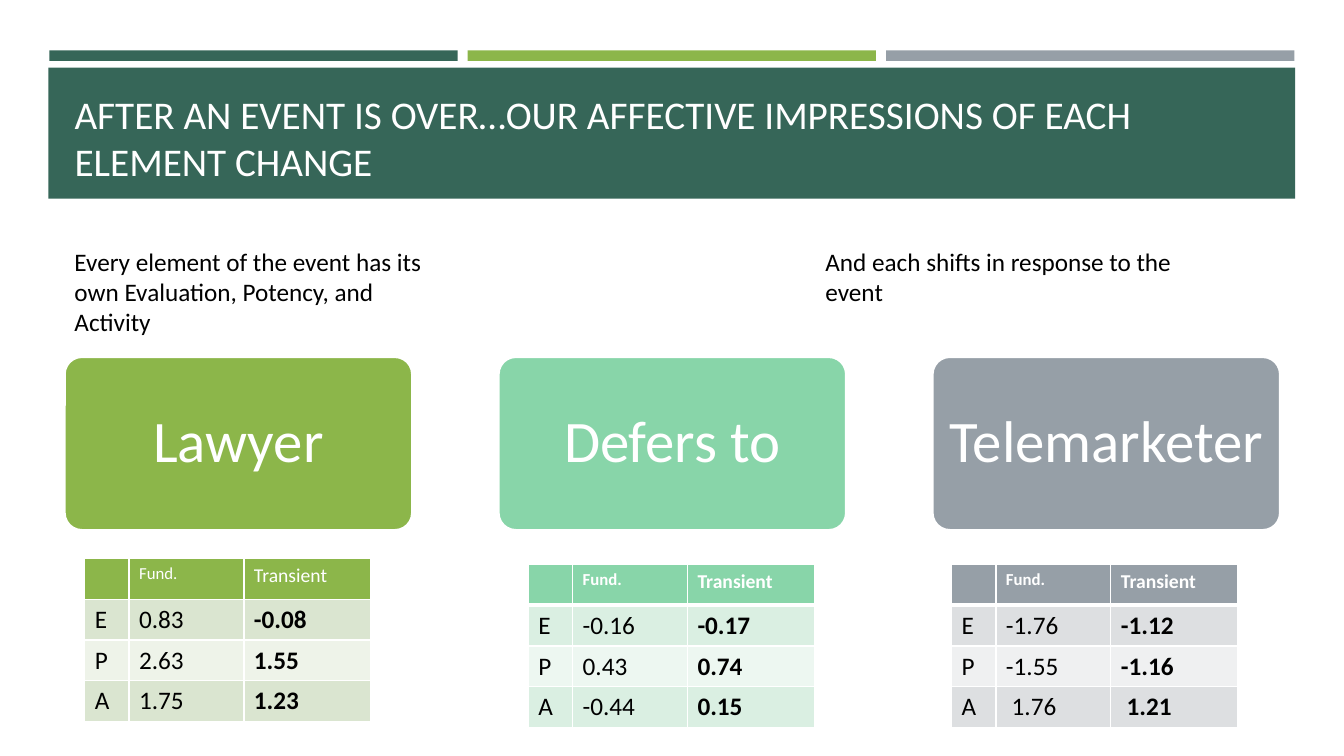
import pptx
import pptx.dml.color
import pptx.enum.shapes
import pptx.enum.text
import pptx.oxml
import pptx.oxml.ns
import pptx.util

RGB = pptx.dml.color.RGBColor
WHITE = RGB(0xFF, 0xFF, 0xFF)
BLACK = RGB(0x00, 0x00, 0x00)
PINE = RGB(0x36, 0x66, 0x58)
GREEN = RGB(0x8C, 0xB6, 0x4A)
GREEN_BAND = RGB(0xDA, 0xE5, 0xD0)
GREEN_PALE = RGB(0xEE, 0xF3, 0xE9)
MINT = RGB(0x88, 0xD5, 0xA9)
MINT_BAND = RGB(0xDA, 0xEF, 0xE2)
MINT_PALE = RGB(0xED, 0xF7, 0xF1)
GREY = RGB(0x96, 0x9F, 0xA7)
GREY_BAND = RGB(0xDD, 0xDF, 0xE1)
GREY_PALE = RGB(0xEF, 0xF0, 0xF1)

FONT = "Calibri"
SLIDE_WIDTH = pptx.util.Inches(13.333)
SLIDE_HEIGHT = pptx.util.Inches(7.5)
COLUMN = SLIDE_WIDTH / 133.33
ROW = SLIDE_HEIGHT / 75
SHAPES = pptx.enum.shapes.MSO_SHAPE
ANCHOR = pptx.enum.text.MSO_ANCHOR
ALIGN = pptx.enum.text.PP_ALIGN

STRIPES = [PINE, GREEN, GREY]
TABLE_COLUMNS = [4.4, 11.4, 12.6]
TABLE_ROW = 4.05
HEADINGS = [("", 18), ("Fund.", 12), ("Transient", 14)]
ELEMENTS = [
    {"name": "Lawyer", "colours": (GREEN, GREEN_BAND, GREEN_PALE),
     "table": (8.4, 55.4), "bold": False, "rule": 1,
     "values": [("E", "0.83", "-0.08"), ("P", "2.63", "1.55"), ("A", "1.75", "1.23")]},
    {"name": "Defers to", "colours": (MINT, MINT_BAND, MINT_PALE),
     "table": (52.4, 56), "bold": True, "rule": 3,
     "values": [("E", "-0.16", "-0.17"), ("P", "0.43", "0.74"), ("A", "-0.44", "0.15")]},
    {"name": "Telemarketer", "colours": (GREY, GREY_BAND, GREY_PALE),
     "table": (94.4, 56), "bold": True, "rule": 3,
     "values": [("E", "-1.76", "-1.12"), ("P", "-1.55", "-1.16"), ("A", " 1.76", " 1.21")]},
]


def area(column, row, columns, rows):
    """Turn grid cells into left, top, width and height."""
    return (round(column * COLUMN), round(row * ROW),
            round(columns * COLUMN), round(rows * ROW))


def write(frame, text, size, colour, bold=False):
    """Put one formatted paragraph in a text frame and return it."""
    frame.text = text
    para = frame.paragraphs[0]
    for span in para.runs:
        span.font.name = FONT
        span.font.size = pptx.util.Pt(size)
        span.font.color.rgb = colour
        span.font.bold = bold
    return para


def add_block(page, kind, place, colour):
    """Add a filled shape without line or shadow."""
    block = page.shapes.add_shape(kind, *area(*place))
    block.shadow.inherit = False
    block.fill.solid()
    block.fill.fore_color.rgb = colour
    block.line.fill.background()
    return block


def set_title(page, text):
    """Place and format the title over the dark band."""
    title = page.shapes.title
    title.left, title.top, title.width, title.height = area(6.4, 7.7, 120.6, 11.1)
    frame = title.text_frame
    frame.word_wrap = True
    frame.auto_size = pptx.enum.text.MSO_AUTO_SIZE.NONE
    frame.vertical_anchor = ANCHOR.BOTTOM
    write(frame, text, 28, WHITE).alignment = ALIGN.LEFT


def add_caption(page, column, text):
    """Add a caption above the element cards."""
    box = page.shapes.add_textbox(*area(column, 23.9, 39.1, 7.1))
    box.text_frame.word_wrap = True
    write(box.text_frame, text, 18, BLACK)


def add_card(page, column, name, colour):
    """Add a rounded card naming one element of the event."""
    card = add_block(page, SHAPES.ROUNDED_RECTANGLE, (column, 35.4, 34.5, 17.2), colour)
    card.adjustments[0] = 0.1
    card.line.color.rgb = WHITE
    card.line.width = pptx.util.Pt(1.75)
    frame = card.text_frame
    frame.word_wrap = True
    frame.vertical_anchor = ANCHOR.MIDDLE
    para = write(frame, name, 42, WHITE)
    para.alignment = ALIGN.CENTER
    para.line_spacing = 0.9


def set_borders(cell, top, bottom):
    """Draw white cell borders with the given top and bottom widths."""
    properties = cell._tc.get_or_add_tcPr()
    for side, width in (("L", 1), ("R", 1), ("T", top), ("B", bottom)):
        properties.append(pptx.oxml.parse_xml(
            f'<a:ln{side} {pptx.oxml.ns.nsdecls("a")} w="{pptx.util.Pt(width)}">'
            f'<a:solidFill><a:srgbClr val="{WHITE}"/></a:solidFill></a:ln{side}>'))


def add_scores(page, element):
    """Add the table of fundamental and transient scores."""
    values = element["values"]
    head, band, pale = element["colours"]
    count = len(values) + 1
    place = area(*element["table"], sum(TABLE_COLUMNS), TABLE_ROW * count)
    table = page.shapes.add_table(count, len(TABLE_COLUMNS), *place).table
    for column, width in zip(table.columns, TABLE_COLUMNS):
        column.width = round(width * COLUMN)
    for r in range(count):
        for c, (heading, heading_size) in enumerate(HEADINGS):
            cell = table.cell(r, c)
            set_borders(cell, element["rule"] if r == 1 else 1,
                        element["rule"] if r == 0 else 1)
            cell.fill.solid()
            if r == 0:
                cell.fill.fore_color.rgb = head
                write(cell.text_frame, heading, heading_size, WHITE, element["bold"])
            else:
                cell.fill.fore_color.rgb = band if r % 2 else pale
                write(cell.text_frame, values[r - 1][c], 18, BLACK, c == 2)


def main():
    """Build the slide and save it."""
    deck = pptx.Presentation()
    deck.slide_width, deck.slide_height = SLIDE_WIDTH, SLIDE_HEIGHT
    page = deck.slides.add_slide(deck.slide_layouts[5])
    for index, colour in enumerate(STRIPES):
        add_block(page, SHAPES.RECTANGLE, (4.9 + 41.5 * index, 5, 40.5, 1.05), colour)
    band = add_block(page, SHAPES.RECTANGLE, (4.8, 6.7, 123.7, 13), PINE)
    page.shapes.title._element.addprevious(band._element)
    set_title(page, "AFTER AN EVENT IS OVER…OUR AFFECTIVE IMPRESSIONS OF EACH ELEMENT CHANGE")
    add_caption(page, 6.4, "Every element of the event has its own Evaluation, Potency, and Activity")
    add_caption(page, 80.9, "And each shifts in response to the event")
    for index, element in enumerate(ELEMENTS):
        add_card(page, 6.4 + 43.05 * index, element["name"], element["colours"][0])
        add_scores(page, element)
    deck.save("out.pptx")


if __name__ == "__main__":
    main()
